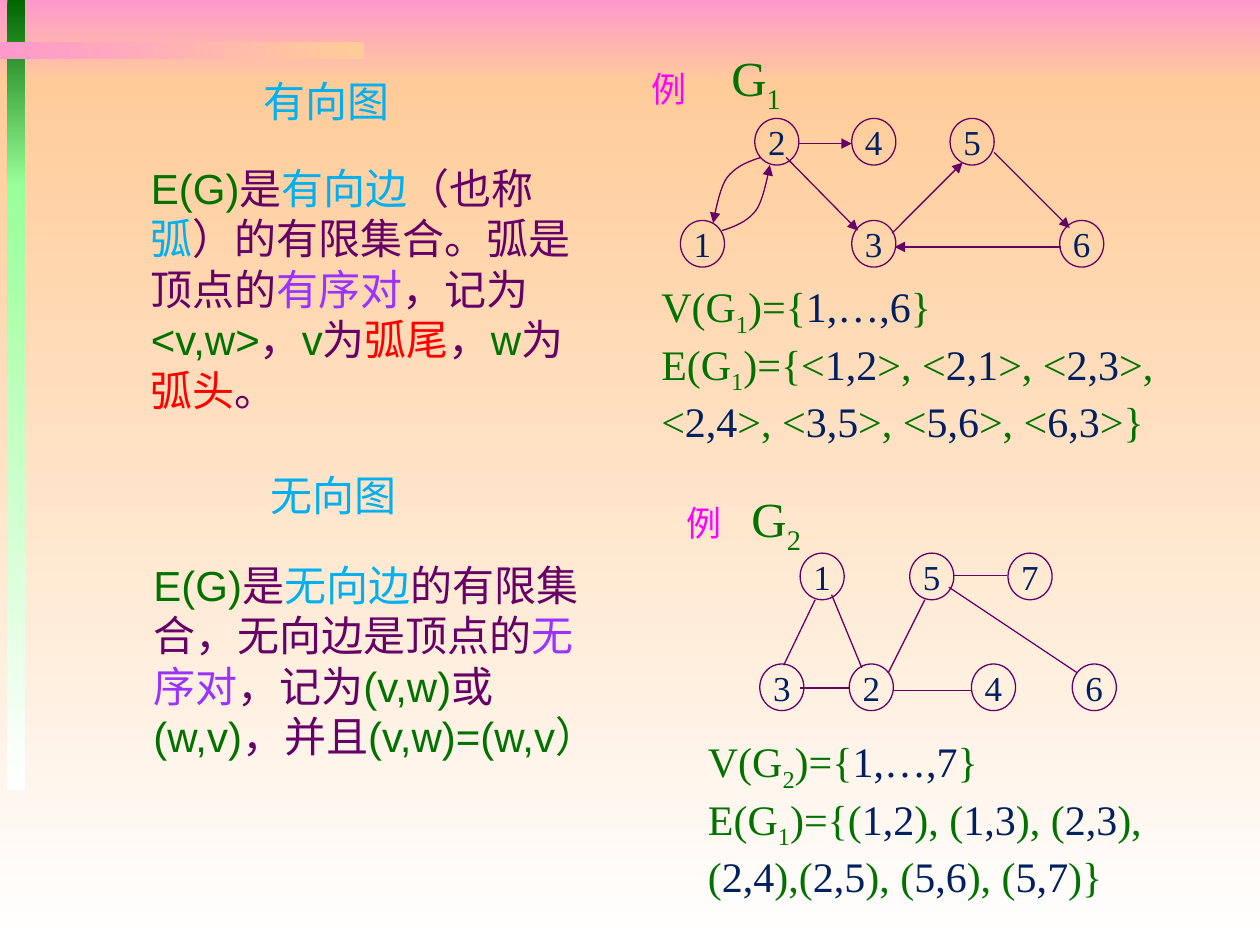
from lxml import etree
from pptx import Presentation
from pptx.dml.color import RGBColor
from pptx.enum.shapes import MSO_CONNECTOR, MSO_SHAPE
from pptx.enum.text import MSO_ANCHOR, MSO_AUTO_SIZE, PP_ALIGN
from pptx.oxml.ns import qn
from pptx.util import Inches, Pt

RECT, OVAL = MSO_SHAPE.RECTANGLE, MSO_SHAPE.OVAL
STRAIGHT = MSO_CONNECTOR.STRAIGHT
TOP, MIDDLE = MSO_ANCHOR.TOP, MSO_ANCHOR.MIDDLE
LEFT, CENTER = PP_ALIGN.LEFT, PP_ALIGN.CENTER
GROW, FIXED = MSO_AUTO_SIZE.SHAPE_TO_FIT_TEXT, MSO_AUTO_SIZE.NONE

COLS, ROWS = 100, 75
CELL = Inches(10) / COLS
SERIF, SANS = "Times New Roman", "Arial"
PLUM = "660066"
COLOURS = {"g": "007200", "s": "007200", "n": "002060", "p": PLUM, "b": "00B0F0",
           "v": "9933FF", "r": "FF0000", "m": "FF00FF"}
NODE_W, NODE_H = 3.5, 3.7

LABEL = {"vertical_anchor": MIDDLE, "auto_size": GROW, "word_wrap": False}
NODE = {"vertical_anchor": MIDDLE, "auto_size": FIXED, "word_wrap": False}
BODY = {"vertical_anchor": TOP, "auto_size": GROW, "word_wrap": True}

BANDS = [
    ((0, 0, COLS, 6.7), "FF99CC", "FFCC99", 270),
    ((0, 6.7, COLS, ROWS - 6.7), "FFCC99", "FFFFFF", 270),
    ((0.6, 0, 1.4, 14.8), "006600", "99FF99", 270),
    ((0.6, 14.6, 1.4, 48.1), "99FF99", "FFFFFF", 270),
    ((0, 3.3, 28.9, 1.4), "FF99CC", "FFCC99", 0),
]
DIRECTED = {
    "tag": (0, 1.3), "name": (6.2, 0), "number": 1, "arrows": True,
    "rows": {5.8: {"2": 9.2, "4": 16.9, "5": 24.7}, 13.9: {"1": 3.3, "3": 16.9, "6": 33.4}},
    "edges": [(12.6, 7.8, 16.9, 7.8), (11.7, 8.9, 17.4, 14.7), (33.5, 16, 20.3, 16),
              (20.1, 14.9, 25.7, 9.3), (28.2, 8.5, 34.2, 14.5)],
    "arc": [(9.7, 8.9), (8.7, 9.2), (7.7, 9.6), (7, 10.5), (6.4, 11.3), (6, 13.6), (5.9, 14.1)],
}
UNDIRECTED = {
    "tag": (0, 0.7), "name": (5, 0), "number": 2, "arrows": False,
    "rows": {5.3: {"1": 10, "5": 18.7, "7": 26.5},
             14.1: {"3": 6.8, "2": 13.9, "4": 23.6, "6": 31.6}},
    "edges": [(11.2, 9, 8.7, 14.2), (10, 16, 13.9, 16), (12.5, 8.6, 14.9, 14.4),
              (19.9, 9, 17, 14.8), (17.4, 16.2, 23.6, 16.2), (22.2, 7.1, 26.4, 7.1),
              (21.8, 8, 32, 14.8)],
    "arc": [],
}
DIRECTED_SETS = [
    "gV(G|s1|g)={|n1,…,6|g}",
    "gE(G|s1|g)={<|n1,2|g>, <|n2,1|g>, <|n2,3|g>, |/|g<|n2,4|g>, <|n3,5|g>, <|n5,6|g>, <|n6,3|g>}",
]
UNDIRECTED_SETS = [
    "gV(G|s2|g)={|n1,…,7|g}",
    "gE(G|s1|g)={(|n1,2|g), (|n1,3|g), (|n2,3|g), |/|g(|n2,4|g),(|n2,5|g), (|n5,6|g), (|n5,7|g)}",
]
DIRECTED_TEXT = ("gE(G)|p是|b有向边|p（也称|b弧|p）的有限集合。弧是顶点的|v有序对|p，记为|"
                 "g<v,w>|p，|gv|p为|r弧尾|p，|gw|p为|r弧头|p。")
UNDIRECTED_TEXT = ("gE(G)|p是|b无向边|p的有限集合，无向边是顶点的|v无序对|p，记为|"
                   "g(v,w)|p或|g(w,v)|p，并且|g(v,w)=(w,v）")


def cells(*values):
    """Convert grid cells to slide units."""
    return [round(v * CELL) for v in values]


def colour(value):
    """Turn a hex string into a colour."""
    return RGBColor.from_string(value)


def write(sp, lines, size, font, frame, align=LEFT, margin=0):
    """Fill a shape with lines of runs, each run led by its style key."""
    tf = sp.text_frame
    for name, value in frame.items():
        setattr(tf, name, value)
    for i, line in enumerate(lines):
        p = tf.add_paragraph() if i else tf.paragraphs[0]
        p.alignment = align
        if margin:
            p._p.get_or_add_pPr().set("marL", str(cells(margin)[0]))
        for part in line.split("|"):
            if part == "/":
                p.add_line_break()
                continue
            r = p.add_run()
            r.text = part[1:]
            for name, value in {"size": Pt(size), "name": font}.items():
                setattr(r.font, name, value)
            r.font.color.rgb = colour(COLOURS[part[0]])
            if part[0] == "s":
                r._r.get_or_add_rPr().set("baseline", "-25000")


def add_text(shapes, box, lines, size, font, frame, **layout):
    """Add a text box at a box of cells."""
    write(shapes.add_textbox(*cells(*box)), lines, size, font, frame, **layout)


def stroke(sp, arrow=False):
    """Draw a thin plum outline, with an arrowhead at the end if asked."""
    sp.line.color.rgb = colour(PLUM)
    sp.line.width = Pt(0.75)
    if arrow:
        etree.SubElement(sp.line._get_or_add_ln(), qn("a:tailEnd"), type="triangle")


def add_node(shapes, x, y, text):
    """Add a numbered vertex."""
    sp = shapes.add_shape(OVAL, *cells(x, y, NODE_W, NODE_H))
    sp.shadow.inherit = False
    sp.fill.background()
    stroke(sp)
    write(sp, ["n" + text], 20, SERIF, NODE, align=CENTER)


def add_edge(shapes, ends, arrow):
    """Add a straight edge."""
    c = shapes.add_connector(STRAIGHT, *cells(*ends))
    etree.SubElement(c._element.spPr, qn("a:effectLst"))
    stroke(c, arrow)


def bezier(a, b, c, d, steps=10):
    """Return points along a cubic curve after its start."""
    ts = [i / steps for i in range(1, steps + 1)]
    return [tuple((1 - t) ** 3 * i + 3 * t * (1 - t) ** 2 * j + 3 * t * t * (1 - t) * k + t ** 3 * m
                  for i, j, k, m in zip(a, b, c, d)) for t in ts]


def add_arc(shapes, points):
    """Add a curved edge through two cubic segments."""
    curve = bezier(*points[:4]) + bezier(*points[3:])
    fb = shapes.build_freeform(*cells(*points[0]))
    fb.add_line_segments([cells(*pt) for pt in curve], close=False)
    sp = fb.convert_to_shape()
    sp.shadow.inherit = False
    sp.fill.background()
    stroke(sp, True)


def background(s):
    """Place the gradient bands."""
    for box, start, end, angle in BANDS:
        sp = s.shapes.add_shape(RECT, *cells(*box))
        sp.shadow.inherit = False
        sp.line.fill.background()
        sp.fill.gradient()
        sp.fill.gradient_angle = angle
        for stop, value, position in zip(sp.fill.gradient_stops, (start, end), (0, 1)):
            stop.color.rgb = colour(value)
            stop.position = position


def graph(s, x, y, data):
    """Place an example graph with its labels from a top-left corner."""
    shapes = s.shapes.add_group_shape().shapes
    (tx, ty), (nx, ny) = data["tag"], data["name"]
    add_text(shapes, (x + tx, y + ty, 4.8, 4.3), ["m例"], 20, SERIF, LABEL, align=CENTER)
    for row, nodes in data["rows"].items():
        for text, col in nodes.items():
            add_node(shapes, x + col, y + row, text)
    for x1, y1, x2, y2 in data["edges"]:
        add_edge(shapes, (x + x1, y + y1, x + x2, y + y2), data["arrows"])
    if data["arc"]:
        add_arc(shapes, [(x + i, y + j) for i, j in data["arc"]])
        add_arc(shapes, [(x + 16.3 - i, y + 23.6 - j) for i, j in data["arc"]])
    add_text(shapes, (x + nx, y + ny, 6.2, 5.7), [f"gG|s{data['number']}"], 28, SERIF, LABEL,
             align=CENTER)


def definition(s, title_box, title, box, text, margin=0):
    """Place a heading and its definition."""
    add_text(s.shapes, title_box, ["b" + title], 24, SANS, BODY)
    add_text(s.shapes, box, [text], 24, SANS, BODY, margin=margin)


def main():
    """Build the slide."""
    prs = Presentation()
    prs.slide_width, prs.slide_height = cells(COLS, ROWS)
    s = prs.slides.add_slide(prs.slide_layouts[6])
    background(s)
    graph(s, 50.7, 3.6, DIRECTED)
    add_text(s.shapes, (51.5, 22.3, 43, 13.1), DIRECTED_SETS, 24, SERIF, LABEL)
    graph(s, 53.5, 38.6, UNDIRECTED)
    add_text(s.shapes, (55.2, 58.4, 38.3, 13.1), UNDIRECTED_SETS, 24, SERIF, LABEL)
    definition(s, (20.5, 36.8, 12.4, 5), "无向图", (11.2, 43.9, 37.3, 17.2), UNDIRECTED_TEXT)
    definition(s, (19.9, 5.5, 12.9, 5), "有向图", (5.1, 12.4, 43, 17.2), DIRECTED_TEXT, margin=5.9)
    prs.save("out.pptx")


if __name__ == "__main__":
    main()
